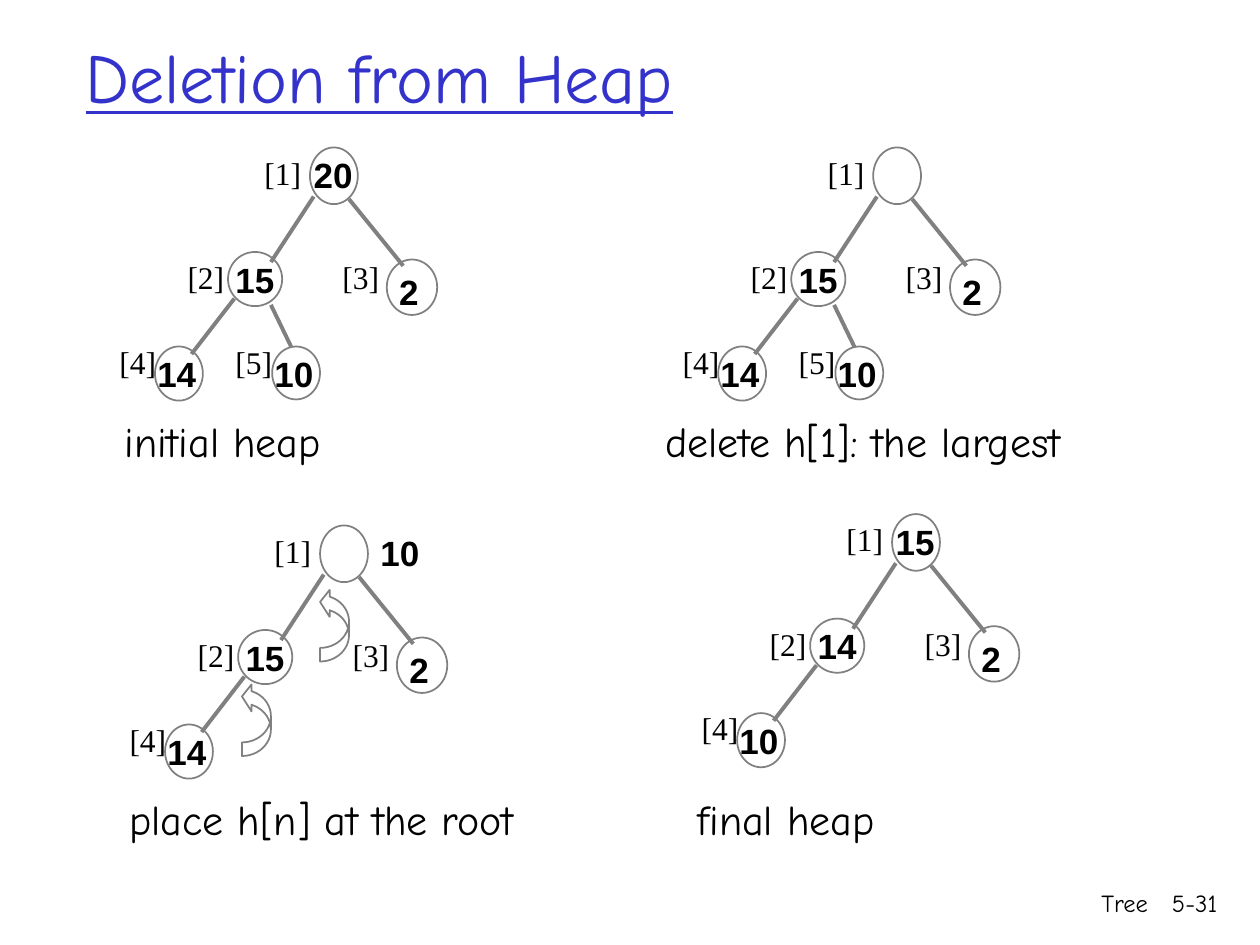
"""Build a slide that shows deletion from a heap in four trees."""
from typing import Any, NamedTuple

from lxml import etree
from pptx import Presentation
from pptx.dml.color import RGBColor
from pptx.enum.shapes import MSO_CONNECTOR, MSO_SHAPE
from pptx.enum.text import MSO_ANCHOR, MSO_AUTO_SIZE, PP_ALIGN
from pptx.oxml.ns import qn
from pptx.util import Emu, Pt

PX = 9144
LINE = MSO_CONNECTOR.STRAIGHT
OVAL, ARROW = MSO_SHAPE.OVAL, MSO_SHAPE.CURVED_RIGHT_ARROW
MIDDLE = MSO_ANCHOR.MIDDLE
FIT, FIXED = MSO_AUTO_SIZE.SHAPE_TO_FIT_TEXT, MSO_AUTO_SIZE.NONE
LEFT, RIGHT = PP_ALIGN.LEFT, PP_ALIGN.RIGHT
GRAY, BLACK, BLUE = "808080", "000000", "3333CC"

Box = tuple[int, int, int, int]
VALUE = {"name": "Arial", "size": Pt(20), "bold": True}
INDEX = {"name": "Times New Roman", "size": Pt(18)}
NOTE = {"name": "Comic Neue", "size": Pt(24)}
FOOT = {"name": "Comic Neue", "size": Pt(14)}
HEAD = {"name": "Comic Neue", "size": Pt(40), "underline": True}


class Node(NamedTuple):
    """Boxes of one node, measured from the corner of the root."""
    ring: Box
    value: Box
    index: Box


class Tree(NamedTuple):
    """Root corner, node values in heap order, and caption."""
    left: int
    top: int
    values: list[str]
    note: str
    place: Box


NODES = [
    Node((0, 0, 38, 45), (-7, 0, 51, 44), (-46, 0, 50, 40)),
    Node((-65, 83, 43, 43), (-69, 83, 51, 44), (-107, 83, 50, 40)),
    Node((61, 89, 40, 44), (61, 93, 36, 44), (16, 83, 50, 40)),
    Node((-123, 158, 38, 43), (-131, 158, 54, 43), (-161, 150, 50, 40)),
    Node((-30, 158, 38, 42), (-38, 158, 51, 44), (-69, 150, 50, 40)),
]
EDGES = [(3, 39, -31, 91), (31, 41, 74, 94),
         (-60, 120, -94, 164), (-31, 125, -15, 158)]
TREES = [
    Tree(246, 117, ["20", "15", "2", "14", "10"],
         "initial heap", (89, 325, 192, 50)),
    Tree(693, 117, ["", "15", "2", "14", "10"],
         "delete h[1]: the largest", (518, 325, 395, 50)),
    Tree(254, 417, ["", "15", "2", "14"],
         "place h[n] at the root", (93, 625, 357, 50)),
    Tree(708, 408, ["15", "14", "2", "10"],
         "final heap", (544, 625, 174, 50)),
]
MOVES = [(254, 467, 23, 58), (192, 542, 23, 58)]


def color(code: str) -> RGBColor:
    """Turn a hex string into a colour."""
    return RGBColor.from_string(code)


def scale(box: Box) -> list[Emu]:
    """Turn px into EMU."""
    return [Emu(n * PX) for n in box]


def style(item: Any, look: dict[str, Any]) -> None:
    """Set each value of a format on an item."""
    for key, value in look.items():
        setattr(item, key, value)


def write(frame: Any, text: str, look: dict[str, Any],
          tint: str = BLACK, align: Any = LEFT) -> None:
    """Put one formatted paragraph in a frame."""
    part = frame.paragraphs[0]
    part.alignment = align
    run = part.add_run()
    run.text = text
    style(run.font, look)
    run.font.color.rgb = color(tint)


def label(shapes: Any, box: Box, text: str, look: dict[str, Any],
          align: Any = LEFT, wrap: bool = False) -> None:
    """Add a text box."""
    frame = shapes.add_textbox(*scale(box)).text_frame
    style(frame, {"word_wrap": wrap, "auto_size": FIXED if wrap else FIT})
    write(frame, text, look, align=align)


def outline(shapes: Any, kind: Any, box: Box) -> Any:
    """Add an unfilled shape with a thin gray line."""
    shape = shapes.add_shape(kind, *scale(box))
    shape.shadow.inherit = False
    shape.fill.background()
    shape.line.color.rgb = color(GRAY)
    shape.line.width = Pt(1)
    return shape


def edge(shapes: Any, ends: Box) -> None:
    """Add a line between two nodes."""
    link = shapes.add_connector(LINE, *scale(ends))
    link.line.color.rgb = color(GRAY)
    link.line.width = Pt(2.25)
    etree.SubElement(link._element.spPr, qn("a:effectLst"))


def draw(shapes: Any, tree: Tree) -> None:
    """Draw a tree as a group, with its caption below."""
    def move(box: Box) -> Box:
        """Shift a box to the root of this tree."""
        return box[0] + tree.left, box[1] + tree.top, box[2], box[3]

    group = shapes.add_group_shape().shapes
    for node, text in zip(NODES, tree.values):
        outline(group, OVAL, move(node.ring))
        if text:
            label(group, move(node.value), text, VALUE)
    for x1, y1, x2, y2 in EDGES[:len(tree.values) - 1]:
        edge(group, (x1 + tree.left, y1 + tree.top,
                     x2 + tree.left, y2 + tree.top))
    for rank, node in enumerate(NODES[:len(tree.values)], 1):
        label(group, move(node.index), f"[{rank}]", INDEX)
    label(shapes, tree.place, tree.note, NOTE)


def main() -> None:
    """Build and save the slide."""
    deck = Presentation()
    deck.slide_width, deck.slide_height = scale((1000, 750, 0, 0))[:2]
    slide = deck.slides.add_slide(deck.slide_layouts[5])
    shapes = slide.shapes
    title = shapes.title
    style(title, dict(zip(("left", "top", "width", "height"),
                          scale((58, 25, 850, 70)))))
    style(title.text_frame, {"vertical_anchor": MIDDLE, "word_wrap": True,
                             "auto_size": FIXED})
    write(title.text_frame, "Deletion from Heap", HEAD, BLUE)
    for tree in TREES:
        draw(shapes, tree)
    label(shapes, (292, 417, 51, 44), "10", VALUE)
    for box in MOVES:
        arrow = outline(shapes, ARROW, box)
        arrow.rotation = 180
        for spot, value in enumerate((0.47, 0.93, 0.33)):
            arrow.adjustments[spot] = value
    label(shapes, (604, 700, 317, 50), "Tree", FOOT, RIGHT, True)
    label(shapes, (908, 700, 68, 50), "5-31", FOOT, RIGHT, True)
    deck.save("out.pptx")


if __name__ == "__main__":
    main()
